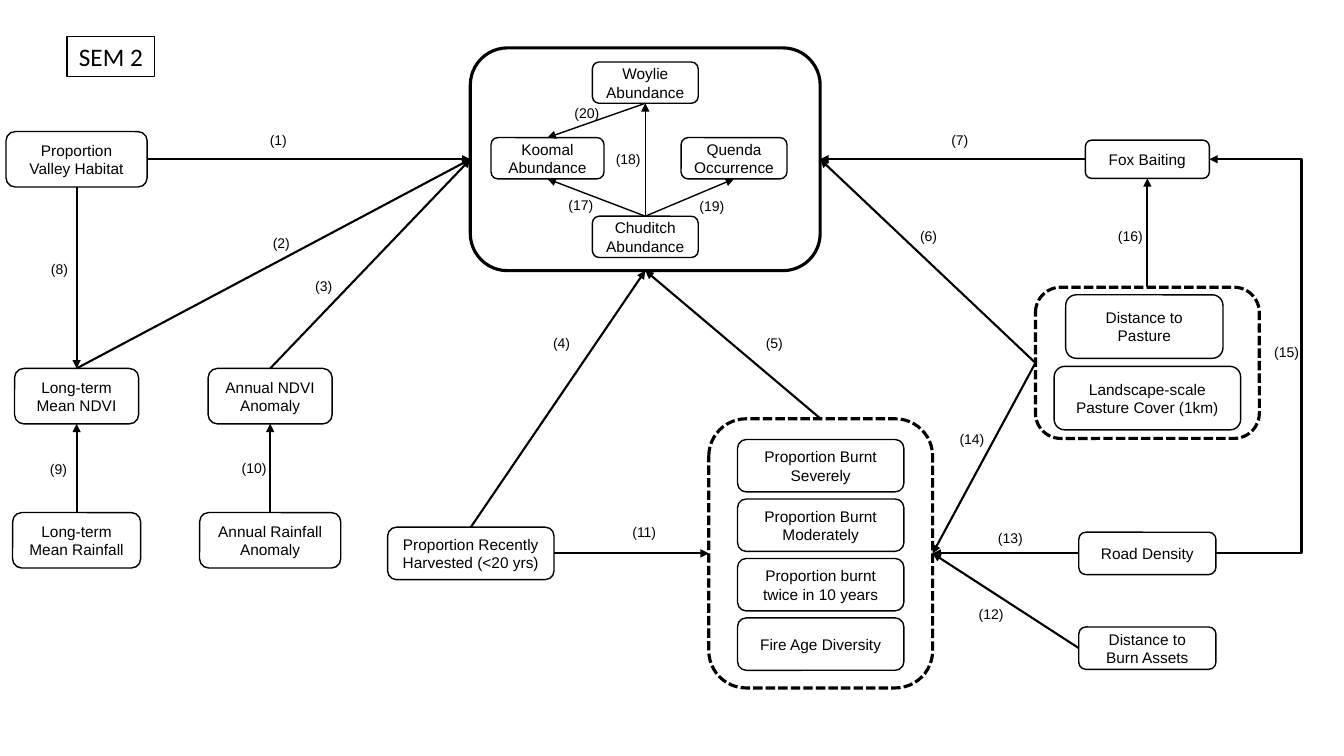
from lxml import etree
from pptx import Presentation
from pptx import util as u
from pptx.dml.color import RGBColor
from pptx.enum import dml, shapes, text
from pptx.oxml.ns import qn

COLORS = {"ink": "000000", "paper": "FFFFFF"}
INK, PAPER = (RGBColor.from_string(COLORS[name]) for name in ("ink", "paper"))
TOP, LEFT, BOTTOM, RIGHT = range(4)  # connection sites of a box

# Column centres and row centres, in inches
VALLEY, ANNUAL, HARVEST, ABUNDANCE, FIRE, BAITING = 0.76, 2.68, 4.67, 6.4, 8.14, 11.38
HABITAT_ROW, NDVI_ROW, RAIN_ROW, FIRE_ROW = 1.58, 3.93, 5.36, 5.49
DETOUR_X = 12.91

prs = Presentation()
prs.slide_width, prs.slide_height = u.Inches(13.33), u.Inches(7.5)
slide = prs.slides.add_slide(prs.slide_layouts[5])


def write(shape, words, size, font="Arial", wrap=True):
    frame = shape.text_frame
    frame.text = words
    settings = {"word_wrap": wrap, "auto_size": text.MSO_AUTO_SIZE.NONE,
                "vertical_anchor": text.MSO_ANCHOR.MIDDLE}
    for name, value in settings.items():
        setattr(frame, name, value)
    paragraph = frame.paragraphs[0]
    paragraph.alignment = text.PP_ALIGN.CENTER
    for name, value in {"name": font, "size": u.Pt(size), "bold": False}.items():
        setattr(paragraph.font, name, value)
    paragraph.font.color.rgb = INK


def centred(x, y, width, height):
    """Left, top, width and height of an area given by its centre, in inches."""
    return [u.Inches(n) for n in (x - width / 2, y - height / 2, width, height)]


title = slide.shapes.title
title.left, title.top, title.width, title.height = centred(1.1, 0.56, 0.87, 0.4)
title.fill.solid()
title.fill.fore_color.rgb = PAPER
title.line.color.rgb = INK
title.line.width = u.Pt(1)
write(title, "SEM 2", 18, "Calibri", wrap=False)

nodes = {}

# Frames around groups of variables: name, centre, size, dash
frames = [
    ("Species", (ABUNDANCE, 1.58, 3.47, 2.21), None),
    ("Fire", (FIRE, FIRE_ROW, 2.22, 2.67), dml.MSO_LINE.SQUARE_DOT),
    ("Pasture", (BAITING, 3.6, 2.22, 1.5), dml.MSO_LINE.SQUARE_DOT),
]
for name, area, dash in frames:
    group = slide.shapes.add_shape(shapes.MSO_SHAPE.ROUNDED_RECTANGLE, *centred(*area))
    group.shadow.inherit = False
    group.fill.background()
    group.line.color.rgb = INK
    group.line.width = u.Pt(2.25)
    group.line.dash_style = dash
    nodes[name] = group

variables = [
    ("Woylie Abundance", ABUNDANCE, 0.82, 1.05, 0.41),
    ("Koomal Abundance", 5.43, 1.57, 1.12, 0.41),
    ("Quenda Occurrence", 7.28, 1.57, 1.05, 0.41),
    ("Chuditch Abundance", ABUNDANCE, 2.35, 1.05, 0.41),
    ("Proportion Valley Habitat", VALLEY, HABITAT_ROW, 1.4, 0.55),
    ("Long-term Mean NDVI", VALLEY, NDVI_ROW, 1.23, 0.55),
    ("Long-term Mean Rainfall", VALLEY, RAIN_ROW, 1.27, 0.55),
    ("Annual NDVI Anomaly", ANNUAL, NDVI_ROW, 1.23, 0.55),
    ("Annual Rainfall Anomaly", ANNUAL, RAIN_ROW, 1.4, 0.55),
    ("Proportion Recently Harvested (<20 yrs)", HARVEST, FIRE_ROW, 1.65, 0.52),
    ("Fox Baiting", BAITING, HABITAT_ROW, 1.23, 0.38),
    ("Distance to Pasture", 11.35, 3.24, 1.56, 0.63),
    ("Landscape-scale Pasture Cover (1km)", BAITING, 3.95, 1.85, 0.63),
    ("Road Density", BAITING, FIRE_ROW, 1.36, 0.42),
    ("Distance to Burn Assets", BAITING, 6.43, 1.36, 0.42),
]
fire_history = ["Proportion Burnt Severely", "Proportion Burnt Moderately",
                "Proportion burnt twice in 10 years", "Fire Age Diversity"]
variables += [(name, FIRE, 4.62 + 0.59 * row, 1.65, 0.52)
              for row, name in enumerate(fire_history)]

for name, *area in variables:
    box = slide.shapes.add_shape(shapes.MSO_SHAPE.ROUNDED_RECTANGLE, *centred(*area))
    box.shadow.inherit = False
    box.fill.solid()
    box.fill.fore_color.rgb = PAPER
    box.line.color.rgb = INK
    box.line.width = u.Pt(1)
    write(box, name, 11)
    nodes[name] = box

# Paths in numbered order: cause, its side, effect, its side, centre of the number
paths = [
    ("Proportion Valley Habitat", RIGHT, "Species", LEFT, 2.76, 1.39),
    ("Long-term Mean NDVI", TOP, "Species", LEFT, 2.79, 2.41),
    ("Annual NDVI Anomaly", TOP, "Species", LEFT, 3.21, 2.84),
    ("Proportion Recently Harvested (<20 yrs)", TOP, "Species", BOTTOM, 5.57, 3.4),
    ("Fire", TOP, "Species", BOTTOM, 7.68, 3.4),
    ("Pasture", LEFT, "Species", RIGHT, 9.21, 2.34),
    ("Fox Baiting", LEFT, "Species", RIGHT, 9.52, 1.39),
    ("Proportion Valley Habitat", BOTTOM, "Long-term Mean NDVI", TOP, 0.59, 2.67),
    ("Long-term Mean Rainfall", TOP, "Long-term Mean NDVI", BOTTOM, 0.58, 4.65),
    ("Annual Rainfall Anomaly", TOP, "Annual NDVI Anomaly", BOTTOM, 2.52, 4.64),
    ("Proportion Recently Harvested (<20 yrs)", RIGHT, "Fire", LEFT, 6.39, 5.28),
    ("Distance to Burn Assets", LEFT, "Fire", RIGHT, 9.83, 6.09),
    ("Road Density", LEFT, "Fire", RIGHT, 10.02, 5.34),
    ("Pasture", LEFT, "Fire", RIGHT, 9.64, 4.35),
    ("Road Density", RIGHT, "Fox Baiting", RIGHT, 12.76, 3.49),
    ("Pasture", TOP, "Fox Baiting", BOTTOM, 11.21, 2.34),
    ("Chuditch Abundance", TOP, "Koomal Abundance", BOTTOM, 5.76, 2.03),
    ("Chuditch Abundance", TOP, "Woylie Abundance", BOTTOM, 6.23, 1.58),
    ("Chuditch Abundance", TOP, "Quenda Occurrence", BOTTOM, 7.06, 2.04),
    ("Woylie Abundance", BOTTOM, "Koomal Abundance", TOP, 5.82, 1.12),
]
for number, (cause, cause_side, effect, effect_side, x, y) in enumerate(paths, 1):
    detours = cause_side == effect_side == RIGHT
    kind = shapes.MSO_CONNECTOR.ELBOW if detours else shapes.MSO_CONNECTOR.STRAIGHT
    path_line = slide.shapes.add_connector(kind, 0, 0, 0, 0)
    path_line.begin_connect(nodes[cause], cause_side)
    path_line.end_connect(nodes[effect], effect_side)
    path_line.line.color.rgb = INK
    path_line.line.width = u.Pt(1 if "Species" not in (cause, effect) and number > 16 else 1.5)
    properties = path_line._element.spPr
    etree.SubElement(properties.find(qn("a:ln")), qn("a:tailEnd"), type="triangle")
    etree.SubElement(properties, qn("a:effectLst"))
    if detours:
        run = path_line.end_x - path_line.begin_x
        bend = round((u.Inches(DETOUR_X) - path_line.begin_x) / run * 100000)
        adjustments = properties.find(qn("a:prstGeom")).get_or_add_avLst()
        etree.SubElement(adjustments, qn("a:gd"), name="adj1", fmla=f"val {bend}")
    label = slide.shapes.add_textbox(*centred(x, y, 0.51, 0.27))
    write(label, f"({number})", 10)

prs.save("out.pptx")
